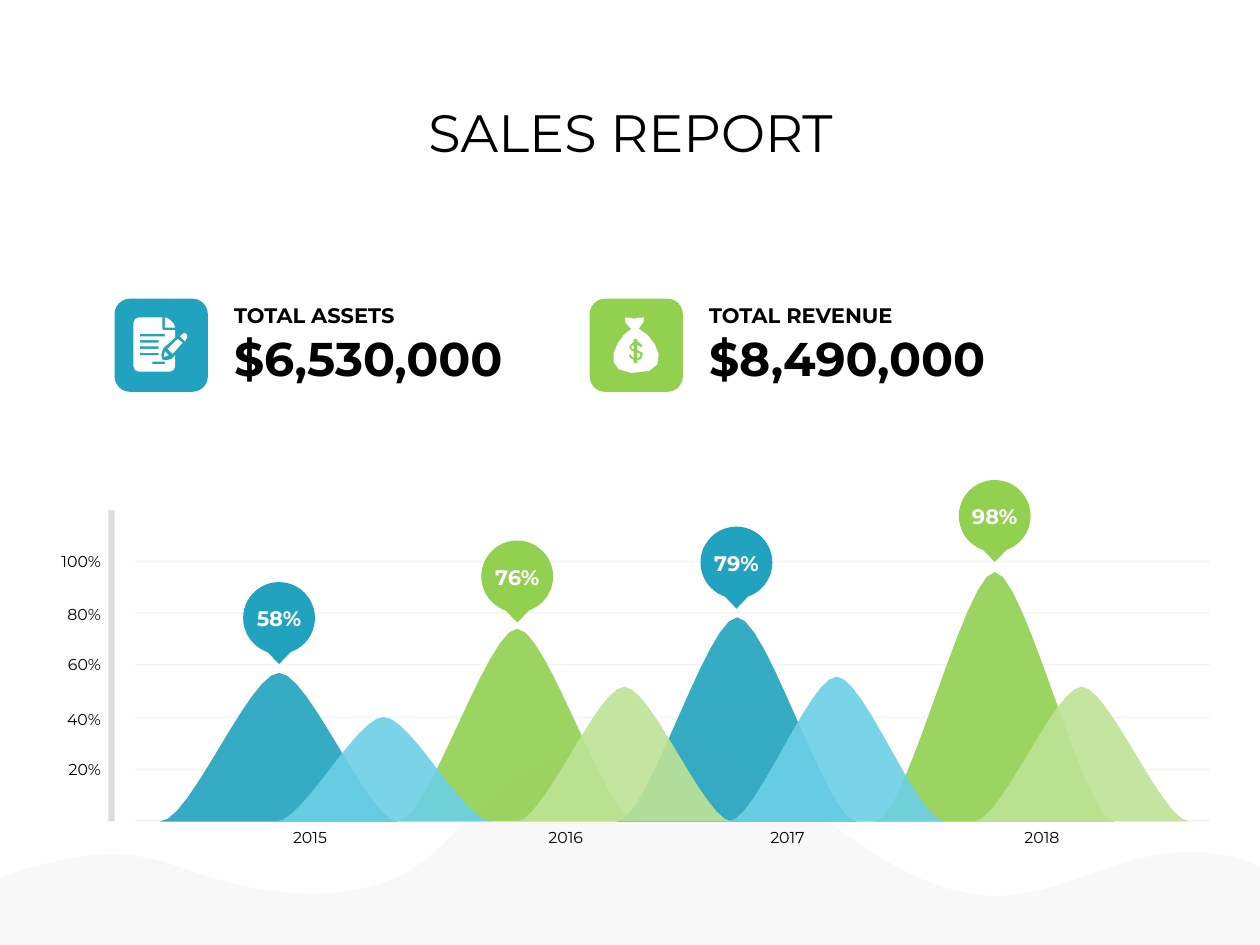
from lxml import etree
from pptx import Presentation
from pptx import util as u
from pptx.dml.color import RGBColor
from pptx.enum import shapes, text
from pptx.oxml import ns

PX = u.Inches(1) // 100  # 100 px to the inch
TEAL, GREEN, SKY, LIME = "21A2BE", "92D050", "6CD0E6", "BEE396"
GREY, BLACK, WHITE = "F2F2F2", "000000", "FFFFFF"
LEFT, CENTER, RIGHT = text.PP_ALIGN.LEFT, text.PP_ALIGN.CENTER, text.PP_ALIGN.RIGHT


def paint(shape, colour, opacity=100):
    shape.shadow.inherit = False
    shape.line.fill.background()
    shape.fill.solid()
    shape.fill.fore_color.rgb = RGBColor.from_string(colour)
    if opacity < 100:
        solid = shape._element.spPr.find(ns.qn("a:solidFill"))
        etree.SubElement(solid[0], ns.qn("a:alpha"), val=str(opacity * 1000))


def draw_outline(contours, colour, opacity=100):
    """Draw contours of points (x, y) and Bezier steps (x1, y1, x2, y2, x, y)."""
    builder = None
    for start, *steps in contours:
        x, y = start
        points = []
        for step in steps:
            if len(step) == 2:
                points.append(step)
            else:
                x1, y1, x2, y2, x3, y3 = step
                parts = max(2, min(12, round(max(abs(x3 - x), abs(y3 - y)) / 6)))
                for i in range(1, parts + 1):
                    t = i / parts
                    a, b, c, d = (1 - t) ** 3, 3 * t * (1 - t) ** 2, 3 * t * t * (1 - t), t ** 3
                    points.append((a * x + b * x1 + c * x2 + d * x3,
                                   a * y + b * y1 + c * y2 + d * y3))
            x, y = step[-2:]
        if builder is None:
            builder = slide.shapes.build_freeform(start[0] * PX, start[1] * PX, scale=1.0)
        else:
            builder.move_to(start[0] * PX, start[1] * PX)
        builder.add_line_segments([(px * PX, py * PX) for px, py in points], close=True)
    paint(builder.convert_to_shape(), colour, opacity)


presentation = Presentation()
presentation.slide_width, presentation.slide_height = 1000 * PX, 750 * PX
slide = presentation.slides.add_slide(presentation.slide_layouts[6])

# Background hills
draw_outline([[
    (503, 589), (535, 588, 569, 596, 598, 612), (658, 645, 711, 707, 785, 711),
    (832, 713, 874, 686, 920, 678), (948, 674, 973, 677, 993, 685), (1000, 688),
    (1000, 750), (0, 750), (0, 697), (9, 693, 18, 690, 26, 688),
    (52, 682, 79, 675, 105, 679), (127, 681, 148, 691, 169, 697),
    (222, 713, 293, 718, 337, 683), (356, 668, 370, 649, 388, 634),
    (418, 606, 460, 591, 503, 589)]], GREY, 50)

# Grid lines and vertical axis
bars = [(107, round(445 + 41.2 * row), 853, 1, GREY) for row in range(6)]
bars.append((86, 405, 5, 247, "D9D9D9"))
for left, top, width, height, colour in bars:
    bar = slide.shapes.add_shape(shapes.MSO_SHAPE.RECTANGLE,
                                 left * PX, top * PX, width * PX, height * PX)
    paint(bar, colour, 90)

# Peaks: left, right, top, colour
BASE = 652
for left, right, top, colour in [
        (127, 316, 534, TEAL), (695, 884, 454, GREEN), (316, 505, 499, GREEN),
        (490, 680, 490, TEAL), (219, 390, 569, SKY), (773, 944, 545, LIME),
        (578, 750, 537, SKY), (410, 581, 545, LIME)]:
    middle, half = (left + right) / 2, (right - left) / 2
    near, far = half / 4, half * 3 / 4
    draw_outline([[
        (left, BASE), (middle - far, BASE, middle - near, top, middle, top),
        (middle + near, top, middle + far, BASE, right, BASE)]], colour, 90)

# Labels: left, top, width, height, wording, size, bold, colour, alignment
labels = [(200, 69, 601, 66, "SALES REPORT", 30, False, BLACK, CENTER)]
for top, percent in [(598, 20), (558, 40), (515, 60), (475, 80), (433, 100)]:
    labels.append((36, top, 54, 25, f"{percent}%", 9, False, BLACK, RIGHT))
for left, year in [(222, 2015), (425, 2016), (601, 2017), (803, 2018)]:
    labels.append((left, 652, 48, 25, str(year), 9, False, BLACK, CENTER))

# Value bubbles
for left, top, percent, colour in [(193, 462, 58, TEAL), (382, 429, 76, GREEN),
                                   (556, 418, 79, TEAL), (761, 381, 98, GREEN)]:
    bubble = slide.shapes.add_group_shape().shapes
    disc = bubble.add_shape(shapes.MSO_SHAPE.OVAL, left * PX, top * PX, 57 * PX, 57 * PX)
    pointer = bubble.add_shape(shapes.MSO_SHAPE.ISOSCELES_TRIANGLE,
                               (left + 14) * PX, (top + 50) * PX, 29 * PX, 15 * PX)
    pointer.rotation = 180
    paint(disc, colour)
    paint(pointer, colour)
    labels.append((left, top + 14, 57, 30, f"{percent}%", 12, True, WHITE, CENTER))

# Totals
for left, colour, name, name_width, amount, amount_width in [
        (91, TEAL, "TOTAL ASSETS", 154, "$6,530,000", 237),
        (468, GREEN, "TOTAL REVENUE", 172, "$8,490,000", 243)]:
    tile = slide.shapes.add_shape(shapes.MSO_SHAPE.ROUNDED_RECTANGLE,
                                  left * PX, 237 * PX, 74 * PX, 74 * PX)
    paint(tile, colour)
    labels.append((left + 85, 235, name_width, 30, name, 12, True, BLACK, LEFT))
    labels.append((left + 85, 256, amount_width, 56, amount, 27, True, BLACK, LEFT))

# Document and pencil icon, with the written lines cut out of the page
page = [(129, 278), (130, 276), (139, 268), (139, 262), (130, 262), (129, 261),
        (129, 252), (110, 252), (108, 252, 106, 254, 106, 256), (106, 291),
        (106, 293, 108, 295, 110, 295), (135, 295), (137, 295, 139, 293, 139, 291),
        (139, 282), (136, 285), (132, 286), (130, 287, 127, 285, 128, 282)]
corner = [(131, 252), (134, 253), (138, 257), (139, 260), (131, 260)]
pencil_tip = [(131, 279), (130, 283), (131, 283), (134, 282)]
pencil_body = [(141, 269), (133, 277), (137, 281), (145, 272)]
pencil_end = [(145, 265), (143, 267), (147, 271), (148, 269),
              (149, 268, 149, 266, 148, 265), (148, 265, 146, 263, 145, 265)]
written_lines = [[(left, top), (left + width, top), (left + width, top + 2), (left, top + 2)]
                 for left, top, width in [(111, 265, 20), (111, 270, 15), (111, 275, 15),
                                          (111, 280, 15), (121, 287, 10)]]
draw_outline([page, corner, pencil_tip, pencil_body, pencil_end, *written_lines], WHITE)

# Money bag icon with a dollar sign cut out
bag = [(507, 261), (510, 258, 513, 252, 511, 252), (509, 251, 505, 253, 503, 253),
       (501, 254, 498, 250, 496, 252), (495, 254, 497, 259, 501, 261),
       (490, 267, 475, 294, 501, 296), (538, 298, 520, 266, 507, 261)]
dollar = [(510, 282), (509, 285), (506, 286), (506, 288), (503, 288), (503, 286),
          (500, 284), (499, 282), (500, 281), (501, 282), (503, 284), (503, 279),
          (501, 278), (499, 277, 499, 275, 500, 274), (503, 271), (503, 269),
          (506, 269), (506, 271), (509, 273), (510, 275), (509, 276), (508, 275),
          (506, 274), (506, 278), (510, 280)]
upper_bowl = [(503, 274), (501, 275), (502, 277), (503, 277)]
lower_bowl = [(506, 280), (506, 284), (508, 283), (508, 281)]
draw_outline([bag, dollar, upper_bowl, lower_bowl], WHITE)

for left, top, width, height, wording, size, bold, colour, alignment in labels:
    box = slide.shapes.add_textbox(left * PX, top * PX, width * PX, height * PX)
    frame = box.text_frame
    frame.word_wrap = alignment == RIGHT
    frame.auto_size = text.MSO_AUTO_SIZE.SHAPE_TO_FIT_TEXT
    frame.vertical_anchor = text.MSO_ANCHOR.MIDDLE
    paragraph = frame.paragraphs[0]
    paragraph.alignment = alignment
    if wording == "SALES REPORT":
        frame.word_wrap = True
        frame.margin_top = 16 * PX
        paragraph.line_spacing = 0.9
    paragraph.font.name = "Montserrat"
    paragraph.font.size = u.Pt(size)
    paragraph.font.bold = bold
    paragraph.font.color.rgb = RGBColor.from_string(colour)
    paragraph.add_run().text = wording

presentation.save("out.pptx")
